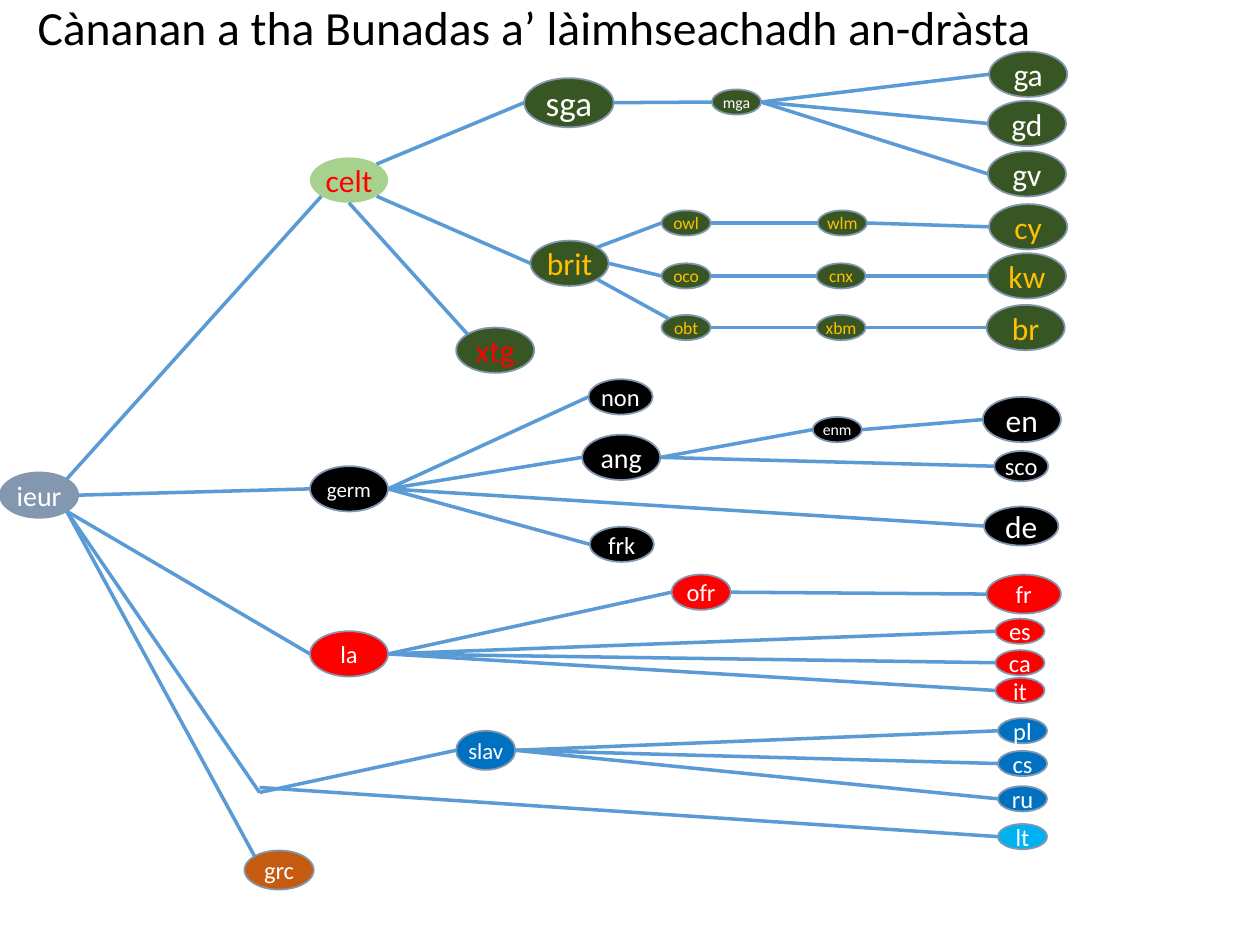
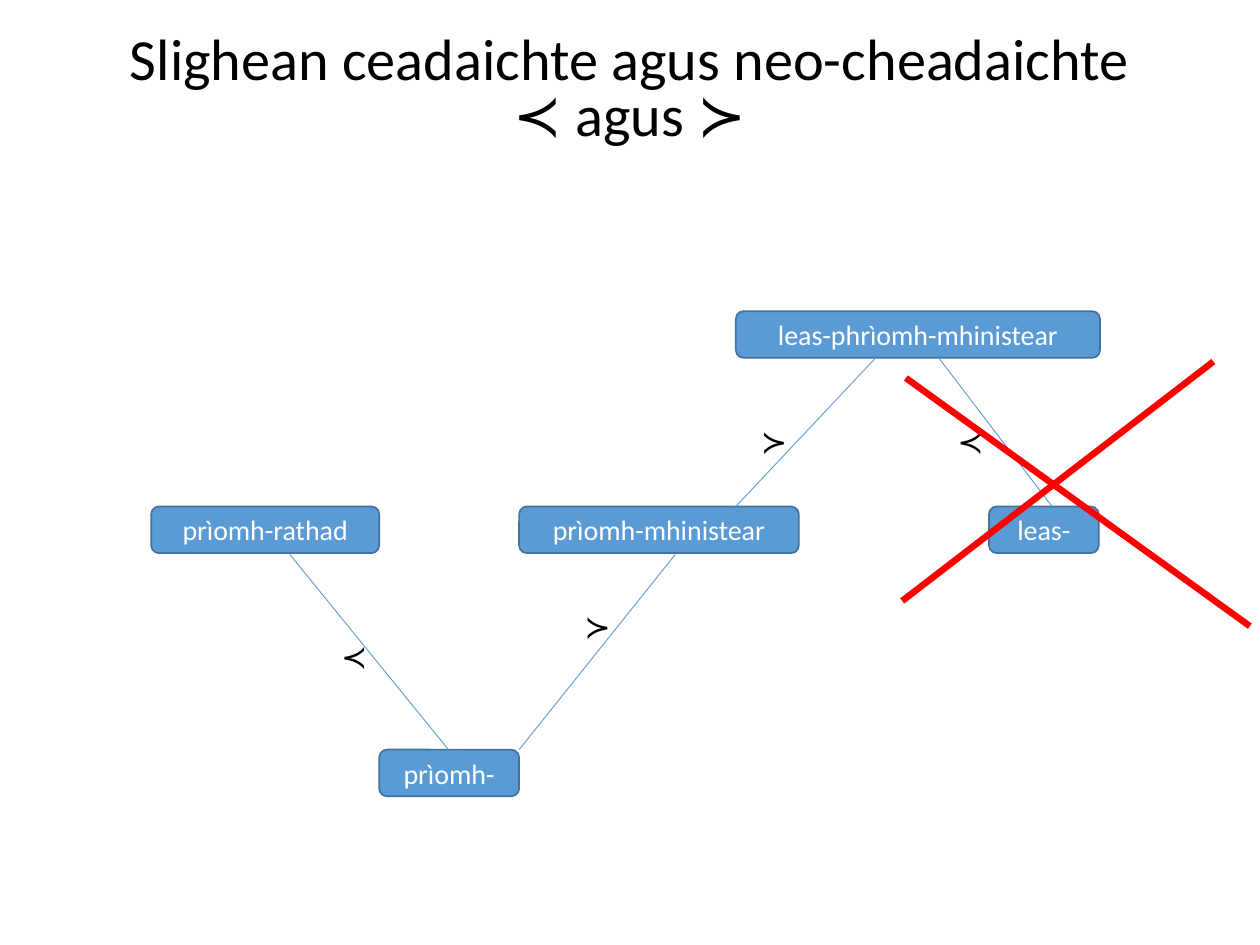
from math import sqrt
from typing import NamedTuple

from lxml import etree
from pptx import Presentation
from pptx.dml.color import RGBColor
from pptx.enum.shapes import MSO_CONNECTOR, MSO_SHAPE
from pptx.enum.text import MSO_ANCHOR, MSO_AUTO_SIZE, PP_ALIGN
from pptx.oxml.ns import qn
from pptx.util import Emu, Pt

PX = 9144  # EMU per px, 100 px to the inch
FONT = "Calibri"
LEFT, CENTER = PP_ALIGN.LEFT, PP_ALIGN.CENTER
TOP, MIDDLE = MSO_ANCHOR.TOP, MSO_ANCHOR.MIDDLE
ELLIPSE, ROUNDED = MSO_SHAPE.OVAL, MSO_SHAPE.ROUNDED_RECTANGLE
STRAIGHT = MSO_CONNECTOR.STRAIGHT
FIT_TEXT = MSO_AUTO_SIZE.SHAPE_TO_FIT_TEXT

COLORS = {
    "black": "000000", "white": "FFFFFF", "red": "FF0000", "gold": "FFC000",
    "slate": "8497B0", "light green": "A9D18E", "dark green": "385623",
    "blue": "0070C0", "sky": "00B0F0", "orange": "C55A11",
    "line": "5B9BD5", "word edge": "43729D",
}

Point = tuple[float, float]


class Box(NamedTuple):
    x: int
    y: int
    w: int
    h: int


class Family(NamedTuple):
    fill: str
    ink: str = "white"
    edge: str | None = "slate"


class Language(NamedTuple):
    code: str
    family: str
    x: int
    y: int
    size: float = 18
    w: int = 62
    h: int = 36

    def site(self, name: str) -> Point:
        """Point on the ellipse named by compass direction."""
        dx, dy = COMPASS[name]
        return (self.x + self.w / 2 * (1 + dx), self.y + self.h / 2 * (1 + dy))


class Descent(NamedTuple):
    parent: str
    child: str
    leave: str = "E"
    enter: str = "W"


class Word(NamedTuple):
    text: str
    box: Box


class Marker(NamedTuple):
    text: str
    x: int
    y: int


DIAGONAL = 1 / sqrt(2)
COMPASS = {
    "E": (1, 0), "W": (-1, 0), "S": (0, 1),
    "NE": (DIAGONAL, -DIAGONAL), "SE": (DIAGONAL, DIAGONAL),
    "NW": (-DIAGONAL, -DIAGONAL), "SW": (-DIAGONAL, DIAGONAL),
}

# Language tree
FAMILIES = {
    "root": Family("slate"),
    "celtic": Family("light green", "red", None),
    "gaelic": Family("dark green"),
    "brittonic": Family("dark green", "gold"),
    "gaulish": Family("dark green", "red"),
    "germanic": Family("black"),
    "romance": Family("red"),
    "slavic": Family("blue"),
    "baltic": Family("sky"),
    "greek": Family("orange"),
}

LANGUAGES = [
    Language("ieur", "root", 0, 375, 16),
    Language("celt", "celtic", 246, 125),
    Language("sga", "gaelic", 416, 62, 20, 71, 39),
    Language("mga", "gaelic", 565, 71, 9, 39, 20),
    Language("ga", "gaelic", 785, 41),
    Language("gd", "gaelic", 784, 80),
    Language("gv", "gaelic", 784, 120),
    Language("brit", "brittonic", 421, 191),
    Language("owl", "brittonic", 525, 167, 10, 39, 20),
    Language("wlm", "brittonic", 649, 167, 10, 39, 20),
    Language("cy", "brittonic", 785, 162),
    Language("oco", "brittonic", 525, 209, 10, 39, 20),
    Language("cnx", "brittonic", 648, 209, 10, 39, 20),
    Language("kw", "brittonic", 784, 201),
    Language("obt", "brittonic", 525, 250, 10, 39, 20),
    Language("xbm", "brittonic", 648, 250, 10, 39, 20),
    Language("br", "brittonic", 783, 242),
    Language("xtg", "gaulish", 362, 260),
    Language("germ", "germanic", 246, 370, 12),
    Language("non", "germanic", 467, 301, 14, 51, 28),
    Language("en", "germanic", 780, 315),
    Language("frk", "germanic", 468, 418, 14, 51, 28),
    Language("enm", "germanic", 645, 331, 9, 39, 20),
    Language("ang", "germanic", 462, 345, 16),
    Language("de", "germanic", 781, 402, 18, 59, 31),
    Language("sco", "germanic", 789, 358, 14, 43, 24),
    Language("la", "romance", 246, 501, 14),
    Language("ofr", "romance", 533, 456, 14, 47, 28),
    Language("fr", "romance", 783, 456, 14, 59, 31),
    Language("es", "romance", 790, 491, 14, 39, 20),
    Language("ca", "romance", 790, 516, 14, 39, 20),
    Language("it", "romance", 790, 538, 14, 39, 20),
    Language("slav", "slavic", 362, 580, 13, 47, 31),
    Language("pl", "slavic", 792, 570, 14, 39, 20),
    Language("cs", "slavic", 792, 596, 14, 39, 20),
    Language("ru", "slavic", 792, 624, 14, 39, 20),
    Language("lt", "baltic", 792, 654, 14, 39, 20),
    Language("grc", "greek", 194, 675, 14, 55, 31),
]

# Lines of descent that run straight from the right side to the left side
CHILDREN = {
    "sga": ["mga"], "mga": ["ga", "gd", "gv"], "brit": ["oco"],
    "owl": ["wlm"], "wlm": ["cy"], "oco": ["cnx"], "cnx": ["kw"],
    "obt": ["xbm"], "xbm": ["br"],
    "ieur": ["germ"], "germ": ["non", "ang", "de", "frk"],
    "ang": ["enm", "sco"], "enm": ["en"],
    "la": ["ofr", "es", "ca", "it"], "ofr": ["fr"],
    "slav": ["pl", "cs", "ru"],
}
DESCENTS = [Descent(parent, child)
            for parent, children in CHILDREN.items() for child in children]
DESCENTS += [
    Descent("ieur", "celt", "NE", "SW"),
    Descent("ieur", "la", "SE"),
    Descent("ieur", "grc", "SE", "NW"),
    Descent("celt", "sga", "NE"),
    Descent("celt", "brit", "SE"),
    Descent("celt", "xtg", "S", "NW"),
    Descent("brit", "owl", "NE"),
    Descent("brit", "obt", "SE", "NW"),
]
BALTO_SLAVIC_FORK = (206, 629)
BALTIC_START = (206, 625)

# Word derivations
WORDS = [
    Word("prìomh-mhinistear", Box(412, 402, 222, 37)),
    Word("prìomh-", Box(301, 595, 111, 37)),
    Word("prìomh-rathad", Box(120, 402, 181, 37)),
    Word("leas-phrìomh-mhinistear", Box(584, 247, 289, 37)),
    Word("leas-", Box(785, 402, 87, 37)),
]
DERIVATIONS = [
    ((230, 440), (356, 595)), ((412, 595), (536, 440)),
    ((584, 402), (695, 284)), ((745, 284), (835, 402)),
]
MARKERS = [
    Marker("≺", 261, 501), Marker("≺", 750, 330),
    Marker("≻", 454, 477), Marker("≻", 594, 330),
]
CROSS_OUT = [((719, 300), (992, 497)), ((963, 287), (716, 477))]


def px(length: float) -> Emu:
    return Emu(round(length * PX))


def rgb(color: str) -> RGBColor:
    return RGBColor.from_string(COLORS[color])


def write_text(shape, text: str, *, size: float, color: str = "black",
               align=LEFT, anchor=MIDDLE, inset: tuple[int, int] = (10, 5),
               wrap: bool = True, spacing: float | None = None) -> None:
    frame = shape.text_frame
    frame.word_wrap = wrap
    frame.vertical_anchor = anchor
    frame.margin_left = frame.margin_right = px(inset[0])
    frame.margin_top = frame.margin_bottom = px(inset[1])
    paragraph = frame.paragraphs[0]
    paragraph.text = text
    paragraph.alignment = align
    if spacing:
        paragraph.line_spacing = spacing
    for run in paragraph.runs:
        run.font.name = FONT
        run.font.size = Pt(size)
        run.font.color.rgb = rgb(color)


def add_text_box(slide, box: Box):
    return slide.shapes.add_textbox(*map(px, box))


def add_title(slide, text: str, box: Box, size: float, align=LEFT) -> None:
    write_text(add_text_box(slide, box), text, size=size, align=align, spacing=0.8)


def add_node(slide, kind, box: Box, fill: str, edge: str | None):
    node = slide.shapes.add_shape(kind, *map(px, box))
    node.shadow.inherit = False
    node.fill.solid()
    node.fill.fore_color.rgb = rgb(fill)
    if edge:
        node.line.color.rgb = rgb(edge)
        node.line.width = Pt(1)
    else:
        node.line.fill.background()
    return node


def add_line(slide, start: Point, end: Point, width: float, color: str = "line") -> None:
    line = slide.shapes.add_connector(STRAIGHT, *map(px, (*start, *end)))
    line.line.color.rgb = rgb(color)
    line.line.width = Pt(width)
    etree.SubElement(line.element.spPr, qn("a:effectLst"))


def build_language_tree(slide) -> None:
    add_title(slide, "Cànanan a tha Bunadas aʼ làimhseachadh an-dràsta",
              Box(20, -1, 974, 52), 27.2)
    for language in LANGUAGES:
        family = FAMILIES[language.family]
        box = Box(language.x, language.y, language.w, language.h)
        node = add_node(slide, ELLIPSE, box, family.fill, family.edge)
        write_text(node, language.code, size=language.size, color=family.ink,
                   align=CENTER, inset=(0, 0))

    by_code = {language.code: language for language in LANGUAGES}
    for descent in DESCENTS:
        add_line(slide, by_code[descent.parent].site(descent.leave),
                 by_code[descent.child].site(descent.enter), 2)

    # Unnamed Balto-Slavic branch
    add_line(slide, by_code["ieur"].site("SE"), BALTO_SLAVIC_FORK, 2)
    add_line(slide, BALTO_SLAVIC_FORK, by_code["slav"].site("W"), 2)
    add_line(slide, BALTIC_START, by_code["lt"].site("W"), 2)


def build_derivation_paths(slide) -> None:
    add_title(slide, "Slighean ceadaichte agus neo-cheadaichte\v≺ agus ≻",
              Box(0, 0, 1000, 145), 33.3, CENTER)
    for word in WORDS:
        node = add_node(slide, ROUNDED, word.box, "line", "word edge")
        write_text(node, word.text, size=16, color="white", align=CENTER)
    for start, end in DERIVATIONS:
        add_line(slide, start, end, 0.5)
    for marker in MARKERS:
        label = add_text_box(slide, Box(marker.x, marker.y, 41, 40))
        write_text(label, marker.text, size=18, anchor=TOP, wrap=False)
        label.text_frame.auto_size = FIT_TEXT
    # Forbidden path
    for start, end in CROSS_OUT:
        add_line(slide, start, end, 3.75, "red")


def main() -> None:
    deck = Presentation()
    deck.slide_width, deck.slide_height = px(1000), px(750)
    blank = deck.slide_layouts[6]
    for build in (build_language_tree, build_derivation_paths):
        build(deck.slides.add_slide(blank))
    deck.save("out.pptx")


if __name__ == "__main__":
    main()
